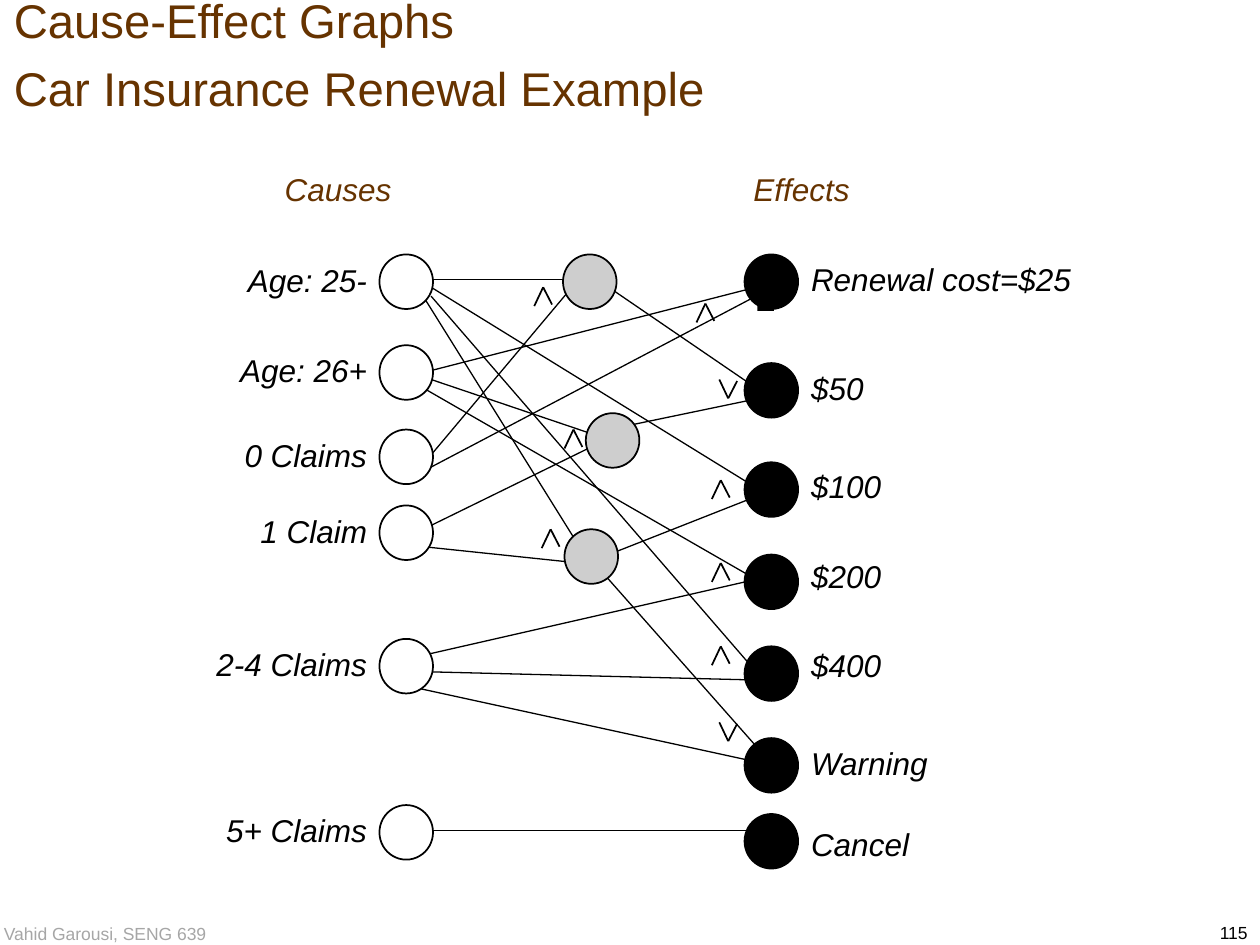
from lxml import etree
from pptx import Presentation
from pptx.dml.color import RGBColor
from pptx.enum.shapes import MSO_CONNECTOR, MSO_SHAPE
from pptx.enum.text import MSO_ANCHOR, MSO_AUTO_SIZE, PP_ALIGN
from pptx.oxml.ns import qn
from pptx.util import Cm, Pt

COLORS = {
    "title": "663300",
    "text": "000000",
    "footer": "A6A6A6",
    "cause": "FFFFFF",
    "intermediate": "CECECE",
    "effect": "000000",
    "line": "000000",
}
NODE_WIDTH, NODE_HEIGHT = 1.08, 1.1
CAUSE_LEFT, EFFECT_LEFT = 7.65, 15.01
EFFECT_LABEL_LEFT = 16.1
LABEL_HEIGHT = 1.02

presentation = Presentation()
presentation.slide_width = Cm(25.4)
presentation.slide_height = Cm(19.05)
slide = presentation.slides.add_slide(presentation.slide_layouts[6])


def add_text(lines, left, top, width, height, size, color,
             italic=False, align=PP_ALIGN.LEFT, wrap=False):
    box = slide.shapes.add_textbox(Cm(left), Cm(top), Cm(width), Cm(height))
    frame = box.text_frame
    frame.word_wrap = wrap
    frame.auto_size = MSO_AUTO_SIZE.NONE if wrap else MSO_AUTO_SIZE.SHAPE_TO_FIT_TEXT
    paragraph = frame.paragraphs[0]
    paragraph.alignment = align
    for index, line in enumerate(lines):
        if index:
            paragraph.add_line_break()
        run = paragraph.add_run()
        run.text = line
        run.font.name = "Arial"
        run.font.size = Pt(size)
        run.font.italic = italic
        run.font.color.rgb = RGBColor.from_string(COLORS[color])
    return frame


def add_line(x1, y1, x2, y2, weight):
    connector = slide.shapes.add_connector(
        MSO_CONNECTOR.STRAIGHT, Cm(x1), Cm(y1), Cm(x2), Cm(y2))
    connector.line.width = Pt(weight)
    connector.line.color.rgb = RGBColor.from_string(COLORS["line"])
    etree.SubElement(connector._element.spPr, qn("a:effectLst"))


add_text(["115"], 22.22, 18.47, 3.18, 0.69, 10, "text", align=PP_ALIGN.RIGHT, wrap=True)

footer = add_text(["Vahid Garousi, SENG 639"], -0.3, 18.42, 4.9, 0.81, 10, "footer", wrap=True)
footer.vertical_anchor = MSO_ANCHOR.MIDDLE
footer.margin_left = Cm(0.38)

title = add_text(["Cause-Effect Graphs", "Car Insurance Renewal Example"],
                 0.03, 0.03, 25.37, 1.88, 27, "title", wrap=True)
title.vertical_anchor = MSO_ANCHOR.MIDDLE
title.paragraphs[0].line_spacing = 1.2

links = [
    (8.69, 5.64, 11.38, 5.64),
    (8.69, 5.79, 15.24, 9.83),
    (8.69, 5.97, 15.24, 13.54),
    (8.53, 5.97, 11.68, 11.02),
    (8.69, 7.47, 15.24, 5.79),
    (8.69, 7.65, 12.12, 8.81),
    (8.53, 7.82, 15.24, 11.68),
    (8.69, 9.17, 11.53, 5.79),
    (8.53, 9.5, 15.24, 5.97),
    (8.53, 10.67, 11.96, 8.99),
    (8.53, 11.02, 11.68, 11.35),
    (8.53, 13.21, 15.24, 11.68),
    (8.53, 13.54, 15.7, 13.72),
    (8.41, 13.87, 15.39, 15.39),
    (12.27, 5.79, 15.24, 7.82),
    (12.27, 8.66, 15.54, 7.98),
    (12.27, 11.18, 15.24, 10.01),
    (12.12, 11.51, 15.39, 15.21),
    (8.53, 16.74, 15.24, 16.74),
]
for link in links:
    add_line(*link, 0.75)

causes = [
    ("Age: 25-", 5.13, 3.02),
    ("Age: 26+", 6.96, 3.18),
    ("0 Claims", 8.66, 3.12),
    ("1 Claim", 10.19, 2.77),
    ("2-4 Claims", 12.88, 3.68),
    ("5+ Claims", 16.23, 3.5),
]
effects = [
    ("Renewal cost=$25", 5.13, 5.11, 5.99),
    ("$50", 7.32, 7.32, 1.57),
    ("$100", 9.32, 9.3, 1.93),
    ("$200", 11.18, 11.1, 1.93),
    ("$400", 13.03, 12.9, 1.93),
    ("Warning", 14.88, 14.88, 3.05),
    ("Cancel", 16.41, 16.51, 2.59),
]
intermediates = [(11.35, 5.13), (11.81, 8.33), (11.38, 10.67)]

nodes = [(MSO_SHAPE.OVAL, CAUSE_LEFT, top, NODE_WIDTH, NODE_HEIGHT, "cause")
         for _, top, _ in causes]
nodes += [(MSO_SHAPE.OVAL, left, top, NODE_WIDTH, NODE_HEIGHT, "intermediate")
          for left, top in intermediates]
nodes += [(MSO_SHAPE.OVAL, EFFECT_LEFT, top, NODE_WIDTH, NODE_HEIGHT, "effect")
          for _, top, _, _ in effects]
nodes.append((MSO_SHAPE.RECTANGLE, 15.27, 5.28, 0.33, 0.99, "effect"))
for kind, left, top, width, height, color in nodes:
    node = slide.shapes.add_shape(kind, Cm(left), Cm(top), Cm(width), Cm(height))
    node.shadow.inherit = False
    node.fill.solid()
    node.fill.fore_color.rgb = RGBColor.from_string(COLORS[color])
    if kind == MSO_SHAPE.RECTANGLE:
        node.line.fill.background()
    else:
        node.line.width = Pt(1)
        node.line.color.rgb = RGBColor.from_string(COLORS["line"])

and_marks = [(10.95, 5.79), (11.1, 10.67), (11.56, 8.66), (14.22, 6.12),
             (14.53, 9.68), (14.53, 11.35), (14.53, 13.03)]
or_marks = [(14.68, 8.03), (14.68, 14.94)]
for marks, left_rise, right_rise in [(and_marks, 0.38, 0.35), (or_marks, -0.38, -0.35)]:
    for x, y in marks:
        add_line(x - 0.18, y + left_rise, x, y, 1)
        add_line(x, y, x + 0.18, y + right_rise, 1)

for label, top, width in causes:
    add_text([label], CAUSE_LEFT - width, top, width, LABEL_HEIGHT, 18, "text",
             italic=True, align=PP_ALIGN.RIGHT)
for label, _, top, width in effects:
    add_text([label], EFFECT_LABEL_LEFT, top, width, LABEL_HEIGHT, 18, "text", italic=True)
for heading, left, width in [("Causes", 5.49, 2.77), ("Effects", 14.94, 2.62)]:
    add_text([heading], left, 3.3, width, LABEL_HEIGHT, 18, "title", italic=True)

presentation.save("out.pptx")
